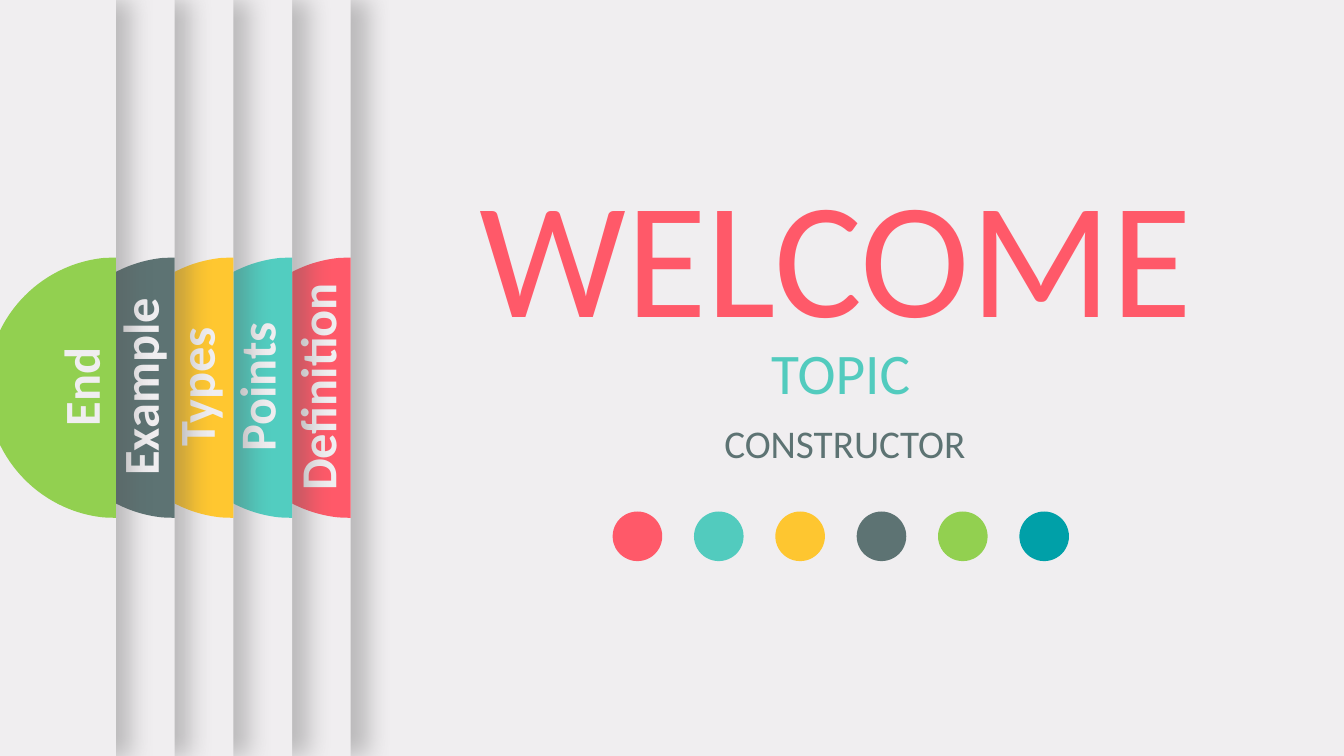
"""Build a welcome slide with a stack of section tabs on the left."""
import lxml.etree
import pptx
import pptx.dml.color
import pptx.enum.shapes
import pptx.enum.text
import pptx.oxml.ns
import pptx.util

Cm = pptx.util.Cm
RGBColor = pptx.dml.color.RGBColor
SHAPE = pptx.enum.shapes.MSO_SHAPE
qn = pptx.oxml.ns.qn

PAPER = RGBColor(0xF0, 0xEE, 0xF0)
CORAL = RGBColor(0xFF, 0x59, 0x69)
TURQUOISE = RGBColor(0x52, 0xCB, 0xBE)
TAB_TURQUOISE = RGBColor(0x52, 0xCD, 0xC0)
AMBER = RGBColor(0xFE, 0xC6, 0x30)
TAB_AMBER = RGBColor(0xFF, 0xC7, 0x30)
SLATE = RGBColor(0x5D, 0x73, 0x73)
GREEN = RGBColor(0x92, 0xD0, 0x50)
TEAL = RGBColor(0x00, 0xA0, 0xA8)
SHADOW = RGBColor(0x59, 0x59, 0x59)

SLIDE_WIDTH, SLIDE_HEIGHT = 33.87, 19.05
SECTIONS = [("Definition", CORAL, -25.83, 6.32, 0.86),
            ("Points", TAB_TURQUOISE, -24.43, 5.54, 0.91),
            ("Types", TAB_AMBER, -21.79, 5.54, 0.96),
            ("Example", SLATE, -22.17, 5.54, 0.89),
            ("End", GREEN, -21.21, 5.54, 0.9)]
DOT_COLOURS = [CORAL, TURQUOISE, AMBER, SLATE, GREEN, TEAL]


def paint(shape, colour):
    """Give a shape a flat fill without outline or shadow."""
    shape.fill.solid()
    shape.fill.fore_color.rgb = colour
    shape.line.fill.background()
    shape.shadow.inherit = False


def cast_shadow(panel):
    """Cast a soft shadow to the right of a panel."""
    effects = panel._element.spPr.find(qn("a:effectLst"))
    outer = lxml.etree.SubElement(
        effects, qn("a:outerShdw"), blurRad=str(pptx.util.Pt(17)),
        dist=str(pptx.util.Pt(3)), dir="0", sx="101000", algn="l", rotWithShape="0")
    tint = lxml.etree.SubElement(outer, qn("a:srgbClr"), val=str(SHADOW))
    lxml.etree.SubElement(tint, qn("a:alpha"), val="35000")


def add_label(shapes, box, wording, size, colour, bold=False):
    """Add one centred line of text in a box given in centimetres."""
    label = shapes.add_textbox(*map(Cm, box))
    frame = label.text_frame
    frame.word_wrap = True
    frame.auto_size = pptx.enum.text.MSO_AUTO_SIZE.SHAPE_TO_FIT_TEXT
    frame.text = wording
    line = frame.paragraphs[0]
    line.alignment = pptx.enum.text.PP_ALIGN.CENTER
    font = line.runs[0].font
    font.name, font.size, font.bold = "Calibri", pptx.util.Pt(size), bold
    font.color.rgb = colour
    return label


def add_tab(shapes, right, middle, colour):
    """Add a half-round tab whose flat side stands at the right."""
    lower = [(0.3, 3.27), (1.96, 3.1), (3.25, 1.7), (3.25, 0)]
    upper = [(inset, -drop) for inset, drop in reversed(lower[:-1])]
    points = [(Cm(right - inset), Cm(middle + drop))
              for inset, drop in [(0, -3.28), (0, 3.28)] + lower + upper]
    outline = shapes.build_freeform(*points[0])
    outline.add_line_segments(points[1:], close=True)
    tab = outline.convert_to_shape()
    paint(tab, colour)

    lines = list(tab._element.spPr.iter(qn("a:lnTo")))
    for start in (2, 5):
        curve = lxml.etree.Element(qn("a:cubicBezTo"))
        lines[start].addprevious(curve)
        for segment in lines[start:start + 3]:
            curve.append(segment[0])
            segment.getparent().remove(segment)


def add_section(slide, box, wording, colour, label_width, label_inset):
    """Add a panel with a tab and a turned label at its right edge."""
    left, top, width, height = box
    right, middle = left + width, top + 9.77
    shapes = slide.shapes.add_group_shape().shapes

    panel = shapes.add_shape(SHAPE.RECTANGLE, *map(Cm, box))
    paint(panel, PAPER)
    cast_shadow(panel)
    add_tab(shapes, right, middle, colour)

    label_height = 1.8
    label_box = (right - label_inset - label_width / 2,
                 middle - 0.02 - label_height / 2, label_width, label_height)
    add_label(shapes, label_box, wording, 36, PAPER, bold=True).rotation = 270


def add_welcome(slide, box):
    """Add the title, the two lines under it and the row of dots."""
    left, top, width, _ = box
    add_label(slide.shapes, (left, top, width, 5.31), "WELCOME", 118, CORAL)

    dots = slide.shapes.add_group_shape().shapes
    diameter, pitch = 1.25, 2.05
    for index, colour in enumerate(DOT_COLOURS):
        dot = dots.add_shape(SHAPE.OVAL, Cm(left + 4.49 + index * pitch),
                             Cm(top + 9.18), Cm(diameter), Cm(diameter))
        paint(dot, colour)

    add_label(slide.shapes, (left + 0.13, top + 4.65, width, 2.01), "TOPIC", 41, TURQUOISE)
    add_label(slide.shapes, (left + 0.23, top + 6.73, width, 1.45), "CONSTRUCTOR", 28, SLATE)


def add_sections(slide, box):
    """Stack the section panels, each ending further left than the one behind it."""
    left, top, width, height = box
    pitch = 1.48
    for index, (wording, colour, start, label_width, label_inset) in enumerate(SECTIONS):
        right = left + width - index * pitch
        add_section(slide, (start, top, right - start, height),
                    wording, colour, label_width, label_inset)


def main():
    """Build and save the presentation."""
    deck = pptx.Presentation()
    deck.slide_width, deck.slide_height = Cm(SLIDE_WIDTH), Cm(SLIDE_HEIGHT)
    slide = deck.slides.add_slide(deck.slide_layouts[6])
    slide.background.fill.solid()
    slide.background.fill.fore_color.rgb = PAPER
    add_welcome(slide, (10.95, 3.71, 20.22, 10.42))
    add_sections(slide, (0, 0, 8.84, SLIDE_HEIGHT))
    deck.save("out.pptx")


if __name__ == "__main__":
    main()
